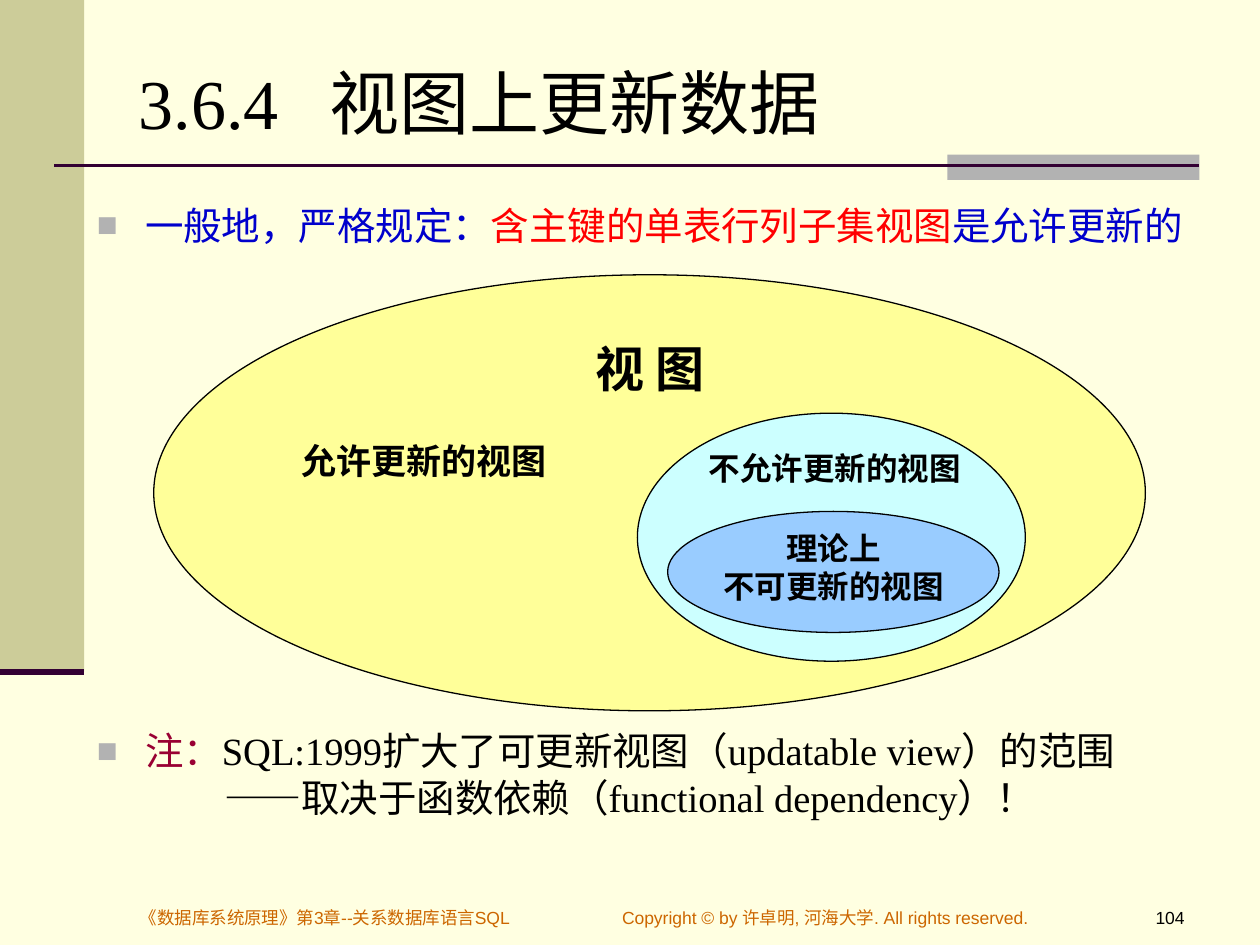
from lxml import etree
from pptx import Presentation
from pptx.dml.color import RGBColor
from pptx.enum.shapes import MSO_CONNECTOR, MSO_SHAPE
from pptx.enum.text import MSO_ANCHOR, MSO_AUTO_SIZE, PP_ALIGN
from pptx.oxml.ns import qn
from pptx.util import Cm, Pt

LINE = MSO_CONNECTOR.STRAIGHT
RECT, OVAL = MSO_SHAPE.RECTANGLE, MSO_SHAPE.OVAL
TOP, MIDDLE = MSO_ANCHOR.TOP, MSO_ANCHOR.MIDDLE
FIXED = MSO_AUTO_SIZE.NONE
LEFT, CENTER, RIGHT = PP_ALIGN.LEFT, PP_ALIGN.CENTER, PP_ALIGN.RIGHT
SERIF, SANS = "Times New Roman", "Arial"
BLACK, PLUM, GRAY, RUST = "000000", "330033", "B2B2B2", "CC6600"


def color(code):
    """Turn a hex string into a colour."""
    return RGBColor.from_string(code)


def assign(item, form):
    """Set each value of a dict on an object."""
    for name, value in form.items():
        setattr(item, name, value)


def add_tag(base, tag, **attrs):
    """Append a drawing element to a base element."""
    return etree.SubElement(base, qn(tag), attrs)


def add_text(par, text, size, font, code, bold=False):
    """Add a styled run to a paragraph."""
    run = par.add_run()
    run.text = text
    assign(run.font, {"size": Pt(size), "name": font, "bold": bold})
    run.font.color.rgb = color(code)


def set_par(par, align=LEFT, before=0):
    """Set alignment and space before on a paragraph."""
    assign(par, {"alignment": align, "space_before": Pt(before)})


def set_indent(par, left, hang=0):
    """Set the left margin and hanging indent of a paragraph."""
    props = par._p.get_or_add_pPr()
    props.set("marL", str(Cm(left)))
    props.set("indent", str(-Cm(hang)))
    return props


def add_bullet(par):
    """Give a paragraph a gray square bullet."""
    props = set_indent(par, 0.97, 0.97)
    add_tag(add_tag(props, "a:buClr"), "a:srgbClr", val=GRAY)
    add_tag(props, "a:buSzPct", val="90000")
    add_tag(props, "a:buFont", typeface=SANS)
    add_tag(props, "a:buChar", char="■")


def place(item, box):
    """Move and size an object in centimetres."""
    assign(item, dict(zip(("left", "top", "width", "height"), map(Cm, box))))


def add_block(slide, kind, box, fill, edge=None):
    """Draw a filled shape with an optional thin outline."""
    shape = slide.shapes.add_shape(kind, *map(Cm, box))
    shape.shadow.inherit = False
    shape.fill.solid()
    shape.fill.fore_color.rgb = color(fill)
    if edge:
        shape.line.color.rgb = color(edge)
        shape.line.width = Pt(0.75)
    else:
        shape.line.fill.background()
    return shape


def add_rule(slide, left, right, top, width):
    """Draw a horizontal rule."""
    rule = slide.shapes.add_connector(LINE, Cm(left), Cm(top), Cm(right), Cm(top))
    rule.line.color.rgb = color(PLUM)
    rule.line.width = Pt(width)
    add_tag(rule._element.spPr, "a:effectLst")


def add_oval(slide, box, fill, lines):
    """Draw an ellipse with bold text lines at its top."""
    frame = add_block(slide, OVAL, box, fill, BLACK).text_frame
    assign(frame, {"word_wrap": True, "vertical_anchor": TOP,
                   "margin_left": Cm(0.05), "margin_right": Cm(0.05),
                   "margin_top": 0, "margin_bottom": 0})
    for num, (text, size, align, before) in enumerate(lines):
        par = frame.add_paragraph() if num else frame.paragraphs[0]
        set_par(par, align, before)
        add_text(par, text, size, SERIF, BLACK, True)


def add_note(slide, left, width, text, code, align=LEFT):
    """Add a small line of text at the foot."""
    box = slide.shapes.add_textbox(Cm(left), Cm(18.16), Cm(width), Cm(0.69))
    box.text_frame.word_wrap = True
    par = box.text_frame.paragraphs[0]
    set_par(par, align)
    add_text(par, text, 10, SANS, code)


def fill_title(title):
    """Place and write the title."""
    place(title, (2.54, 0.76, 21.59, 2.57))
    assign(title.text_frame, {"vertical_anchor": MIDDLE, "auto_size": FIXED})
    par = title.text_frame.paragraphs[0]
    set_par(par)
    tabs = add_tag(par._p.get_or_add_pPr(), "a:tabLst")
    add_tag(tabs, "a:tab", pos=str(Cm(3.85)), algn="l")
    add_text(par, "3.6.4\t视图上更新数据", 40, SERIF, BLACK)


def fill_body(body):
    """Place and write the list above and below the ellipses."""
    place(body, (1.7, 3.94, 23.19, 13.21))
    frame = body.text_frame
    assign(frame, {"vertical_anchor": TOP, "auto_size": FIXED})
    rule, note, more = frame.paragraphs[0], frame.add_paragraph(), frame.add_paragraph()
    for par, before in ((rule, 0), (note, 274), (more, 0)):
        set_par(par, before=before)
    add_bullet(rule)
    add_bullet(note)
    add_tag(set_indent(more, 2.57), "a:buNone")
    for par, text, font, code in (
        (rule, "一般地，严格规定：", SANS, "0000CC"),
        (rule, "含主键的单表行列子集视图", SANS, "FF0000"),
        (rule, "是允许更新的", SANS, "0000CC"),
        (note, "注：", SERIF, "990033"),
        (note, "SQL:1999扩大了可更新视图（updatable view）的范围", SERIF, BLACK),
        (more, "——取决于函数依赖（functional dependency）！", SERIF, BLACK),
    ):
        add_text(par, text, 22, font, code)


def main():
    """Build and save the slide."""
    deck = Presentation()
    deck.slide_width, deck.slide_height = Cm(25.4), Cm(19.05)
    slide = deck.slides.add_slide(deck.slide_layouts[1])
    slide.background.fill.solid()
    slide.background.fill.fore_color.rgb = color("FFFFE1")
    add_block(slide, RECT, (0, 0, 1.7, 13.54), "CCCC99")
    add_block(slide, RECT, (19.1, 3.12, 5.08, 0.51), GRAY)
    add_rule(slide, 1.09, 24.18, 3.33, 1.5)
    add_rule(slide, 0, 1.7, 13.54, 3.5)
    fill_title(slide.shapes.title)
    fill_body(slide.placeholders[1])
    add_oval(slide, (3.1, 5.54, 19.99, 8.79), "FFFF99",
             [("视 图", 28, CENTER, 0), ("允许更新的视图", 20, LEFT, 24)])
    add_oval(slide, (12.85, 8.33, 7.82, 5), "CCFFFF",
             [(" 不允许更新的视图", 18, CENTER, 0)])
    add_oval(slide, (13.46, 10.31, 6.68, 2.44), "99CCFF",
             [("理论上", 18, CENTER, 0), ("不可更新的视图", 18, CENTER, 0)])
    add_note(slide, 22.3, 1.83, "104", BLACK, RIGHT)
    add_note(slide, 12.29, 9.6, "Copyright © by 许卓明, 河海大学. All rights reserved.", RUST)
    add_note(slide, 2.57, 9.35, "《数据库系统原理》第3章--关系数据库语言SQL", RUST)
    deck.save("out.pptx")


if __name__ == "__main__":
    main()
